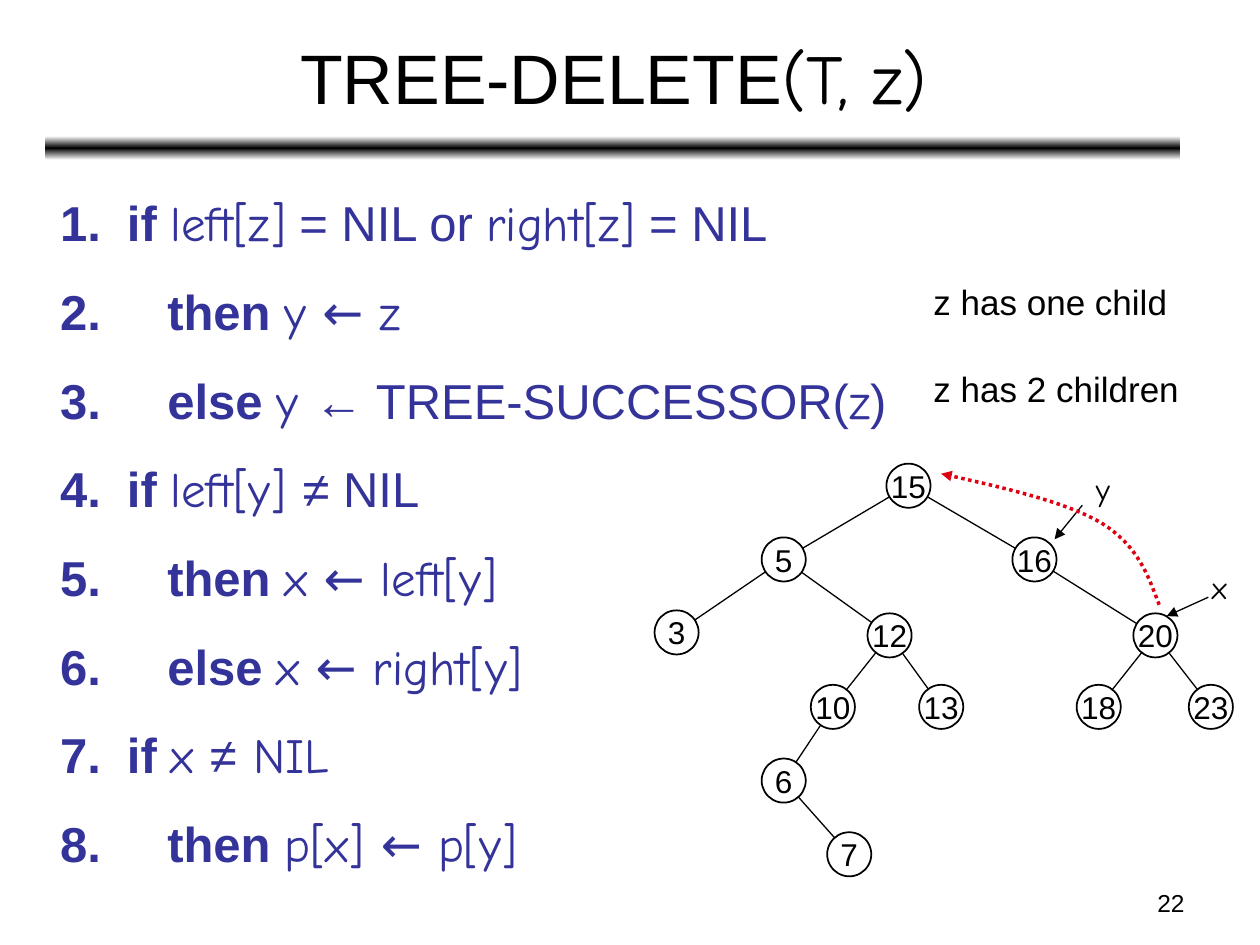
from dataclasses import dataclass
from copy import deepcopy
from math import hypot

from lxml import etree
from pptx import Presentation
from pptx.dml.color import RGBColor
from pptx.enum.dml import MSO_LINE
from pptx.enum.shapes import MSO_CONNECTOR, MSO_SHAPE
from pptx.enum.text import MSO_ANCHOR, PP_ALIGN
from pptx.oxml.ns import qn
from pptx.util import Inches, Pt

STRAIGHT = MSO_CONNECTOR.STRAIGHT
ELLIPSE, ROUNDED = MSO_SHAPE.OVAL, MSO_SHAPE.ROUNDED_RECTANGLE
LEFT, CENTER, RIGHT = PP_ALIGN.LEFT, PP_ALIGN.CENTER, PP_ALIGN.RIGHT
TOP, MIDDLE = MSO_ANCHOR.TOP, MSO_ANCHOR.MIDDLE
DOTTED = MSO_LINE.ROUND_DOT

WIDTH, HEIGHT = 10, 7.5
NODE_SIZE = 0.35
LEVEL_TOP, LEVEL_GAP = 3.855, 0.585
STEP_INDENTS = {"if": 0.53, "then": 0.85, "else": 0.85}


@dataclass(frozen=True)
class Theme:
    """Colours, fonts and type sizes of the slide."""
    ink: RGBColor = RGBColor(0, 0, 0)
    paper: RGBColor = RGBColor(255, 255, 255)
    code: RGBColor = RGBColor(0x33, 0x33, 0x99)
    move: RGBColor = RGBColor(0xDD, 0x01, 0x11)
    plain: str = "Arial"
    math: str = "Comic Neue"
    title: int = 40
    step: int = 28
    note: int = 20
    node: int = 18
    number: int = 14


THEME = Theme()
PLAIN, MATH = THEME.plain, THEME.math

STEPS = [
    ("if", [(MATH, "left[z]"), (PLAIN, " = NIL or "), (MATH, "right[z]"), (PLAIN, " = NIL")]),
    ("then", [(MATH, "y ← z")]),
    ("else", [(MATH, "y "), (PLAIN, "← TREE-SUCCESSOR("), (MATH, "z"), (PLAIN, ")")]),
    ("if", [(MATH, "left[y] "), (PLAIN, "≠ NIL")]),
    ("then", [(MATH, "x ← left[y]")]),
    ("else", [(MATH, "x ← right[y]")]),
    ("if", [(MATH, "x "), (PLAIN, "≠"), (MATH, " NIL")]),
    ("then", [(MATH, "p[x] ← p[y]")]),
]

# key: (share of the slide's width, tree level, parent key)
TREE = {
    15: (0.721, 0, None), 5: (0.622, 1, 15), 16: (0.821, 1, 15),
    3: (0.537, 1.99, 5), 12: (0.706, 2.03, 5), 20: (0.917, 2.03, 16),
    10: (0.661, 3, 12), 13: (0.747, 3, 12), 18: (0.872, 3, 20),
    23: (0.961, 3, 20), 6: (0.622, 4, 10), 7: (0.674, 5, 6),
}


def add_run(paragraph, text, font, size, color, bold=False):
    """Append one formatted run."""
    run = paragraph.add_run()
    run.text = text
    run.font.name, run.font.size, run.font.bold = font, Pt(size), bold
    run.font.color.rgb = color


def add_text(slide, box, pieces, size, align=LEFT, anchor=TOP, wrap=True):
    """Add a one-line text box made of (font, text) pieces."""
    frame = slide.shapes.add_textbox(*map(Inches, box)).text_frame
    frame.word_wrap, frame.vertical_anchor = wrap, anchor
    paragraph = frame.paragraphs[0]
    paragraph.alignment = align
    for font, text in pieces:
        add_run(paragraph, text, font, size, THEME.ink)


def add_title_rule(slide):
    """Add the bar below the title, fading from black to white on both sides."""
    rule = slide.shapes.add_shape(ROUNDED, *map(Inches, (0.36, 1.08, 9.01, 0.19)))
    rule.shadow.inherit = False
    rule.line.fill.background()
    rule.fill.gradient()
    rule.fill.gradient_angle = 90
    stops = rule.element.spPr.find(qn("a:gradFill")).find(qn("a:gsLst"))
    stops.append(deepcopy(stops[0]))
    for stop, share, color in zip(rule.fill.gradient_stops, (0, 0.5, 1),
                                  (THEME.paper, THEME.ink, THEME.paper)):
        stop.position = share
        stop.color.rgb = color


def add_steps(slide, box):
    """Add the numbered pseudocode, nested steps indented further."""
    frame = slide.shapes.add_textbox(*map(Inches, box)).text_frame
    frame.word_wrap = True
    for index, (keyword, pieces) in enumerate(STEPS):
        paragraph = frame.add_paragraph() if index else frame.paragraphs[0]
        paragraph.line_spacing, paragraph.space_before = 1.3, Pt(7)
        indent = Inches(STEP_INDENTS[keyword])
        properties = paragraph._p.get_or_add_pPr()
        properties.set("marL", str(indent))
        properties.set("indent", str(-indent))
        bullet_color = etree.SubElement(properties, qn("a:buClr"))
        etree.SubElement(bullet_color, qn("a:srgbClr"), val=str(THEME.code))
        etree.SubElement(properties, qn("a:buFont"), typeface=PLAIN)
        etree.SubElement(properties, qn("a:buAutoNum"), type="arabicPeriod")
        add_run(paragraph, keyword + " ", PLAIN, THEME.step, THEME.code, True)
        for font, text in pieces:
            add_run(paragraph, text, font, THEME.step, THEME.code)


def add_arrowhead(line):
    """Put a triangle at the end of a line."""
    etree.SubElement(line._get_or_add_ln(), qn("a:tailEnd"), type="triangle")


def add_line(slide, start, end, arrow=False):
    """Add a thin straight line, optionally with an arrowhead."""
    connector = slide.shapes.add_connector(STRAIGHT, *map(Inches, (*start, *end)))
    connector.line.color.rgb = THEME.ink
    connector.line.width = Pt(0.75)
    if arrow:
        add_arrowhead(connector.line)
    etree.SubElement(connector.element.spPr, qn("a:effectLst"))


def node_center(key):
    """Return the centre of a tree node in inches."""
    share, level, _ = TREE[key]
    return share * WIDTH, LEVEL_TOP + level * LEVEL_GAP


def add_edge(slide, parent, child):
    """Join two nodes from rim to rim."""
    (x1, y1), (x2, y2) = node_center(parent), node_center(child)
    trim = NODE_SIZE / 2 / hypot(x2 - x1, y2 - y1)
    dx, dy = (x2 - x1) * trim, (y2 - y1) * trim
    add_line(slide, (x1 + dx, y1 + dy), (x2 - dx, y2 - dy))


def add_node(slide, key):
    """Add one circled key."""
    x, y = node_center(key)
    box = (x - NODE_SIZE / 2, y - NODE_SIZE / 2, NODE_SIZE, NODE_SIZE)
    node = slide.shapes.add_shape(ELLIPSE, *map(Inches, box))
    node.shadow.inherit = False
    node.fill.solid()
    node.fill.fore_color.rgb = THEME.paper
    node.line.color.rgb, node.line.width = THEME.ink, Pt(1)
    frame = node.text_frame
    frame.word_wrap, frame.vertical_anchor = False, MIDDLE
    frame.paragraphs[0].alignment = CENTER
    add_run(frame.paragraphs[0], str(key), PLAIN, THEME.node, THEME.ink)


def bezier(points, steps=16):
    """Return points along a cubic curve, without its start."""
    weights = [((1 - t) ** 3, 3 * t * (1 - t) ** 2, 3 * t * t * (1 - t), t ** 3)
               for t in (step / steps for step in range(1, steps + 1))]
    return [tuple(Inches(sum(w * p[axis] for w, p in zip(row, points))) for axis in (0, 1))
            for row in weights]


def add_move_arrow(slide):
    """Add the dotted curve leading from node 20 up to node 15."""
    start, bend, end = (9.2, 4.8), (8.74, 4.15), (7.47, 3.76)
    builder = slide.shapes.build_freeform(*map(Inches, start))
    builder.add_line_segments(bezier([start, (9.11, 4.56), (9.03, 4.33), bend])
                              + bezier([bend, (8.45, 3.98), (7.96, 3.87), end]), close=False)
    curve = builder.convert_to_shape()
    curve.shadow.inherit = False
    curve.fill.background()
    curve.line.color.rgb, curve.line.width = THEME.move, Pt(2)
    curve.line.dash_style = DOTTED
    add_arrowhead(curve.line)


def main():
    """Build and save the slide."""
    deck = Presentation()
    deck.slide_width, deck.slide_height = Inches(WIDTH), Inches(HEIGHT)
    slide = deck.slides.add_slide(deck.slide_layouts[6])
    add_title_rule(slide)
    add_text(slide, (7.17, 7, 2.33, 0.35), [(PLAIN, "22")], THEME.number, RIGHT)
    add_text(slide, (0.37, 0.11, 9, 0.99), [(PLAIN, "TREE-DELETE"), (MATH, "(T, z)")],
             THEME.title, CENTER, MIDDLE)
    add_steps(slide, (0.38, 1.34, 7.13, 5.79))
    add_text(slide, (7.31, 2.18, 2.43, 0.44), [(PLAIN, "z has one child")], THEME.note)
    add_text(slide, (7.31, 2.87, 2.15, 0.44), [(PLAIN, "z has 2 children")], THEME.note, wrap=False)
    for key, (_, _, parent) in TREE.items():
        add_node(slide, key)
        if parent:
            add_edge(slide, parent, key)
    for name, corner, start, end in (("y", (8.6, 3.68), (8.59, 4.01), (8.37, 4.28)),
                                     ("x", (9.52, 4.46), (9.59, 4.74), (9.26, 4.89))):
        add_line(slide, start, end, arrow=True)
        add_text(slide, (*corner, 0.33, 0.4), [(MATH, name)], THEME.node)
    add_move_arrow(slide)
    deck.save("out.pptx")


if __name__ == "__main__":
    main()
